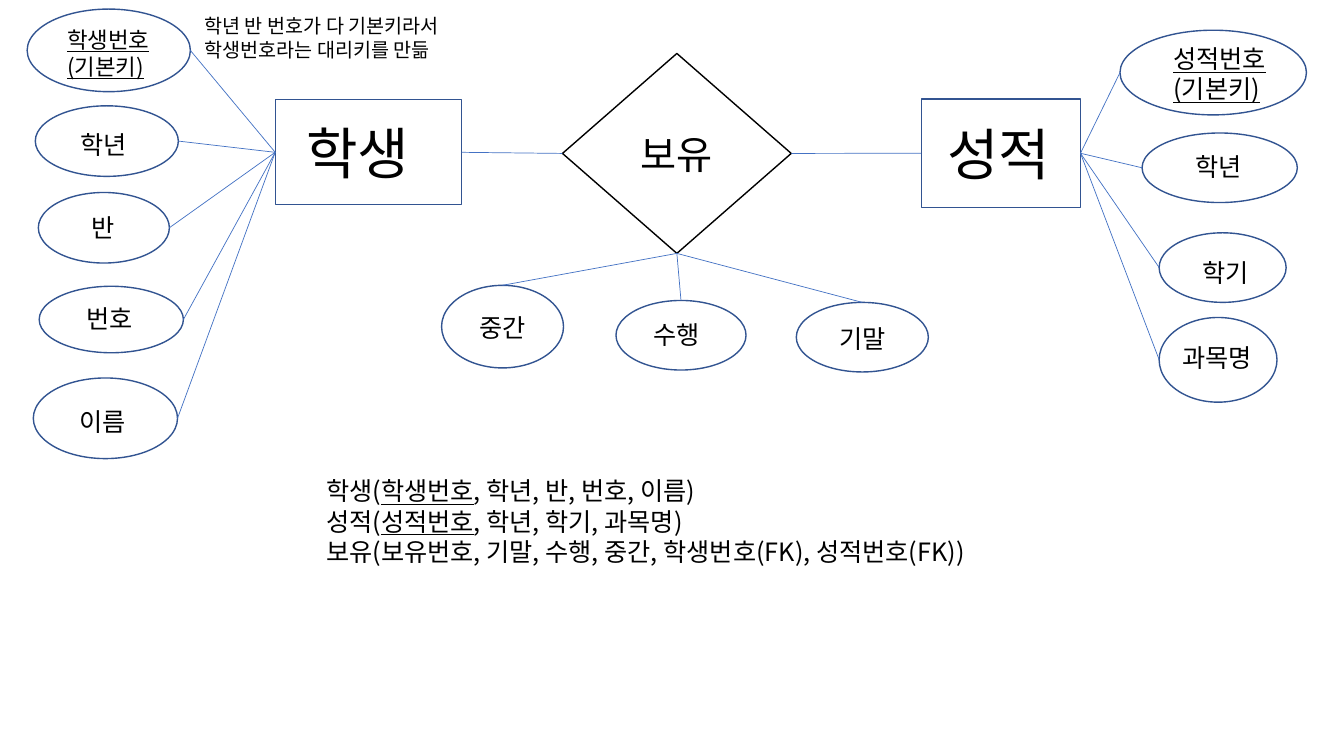
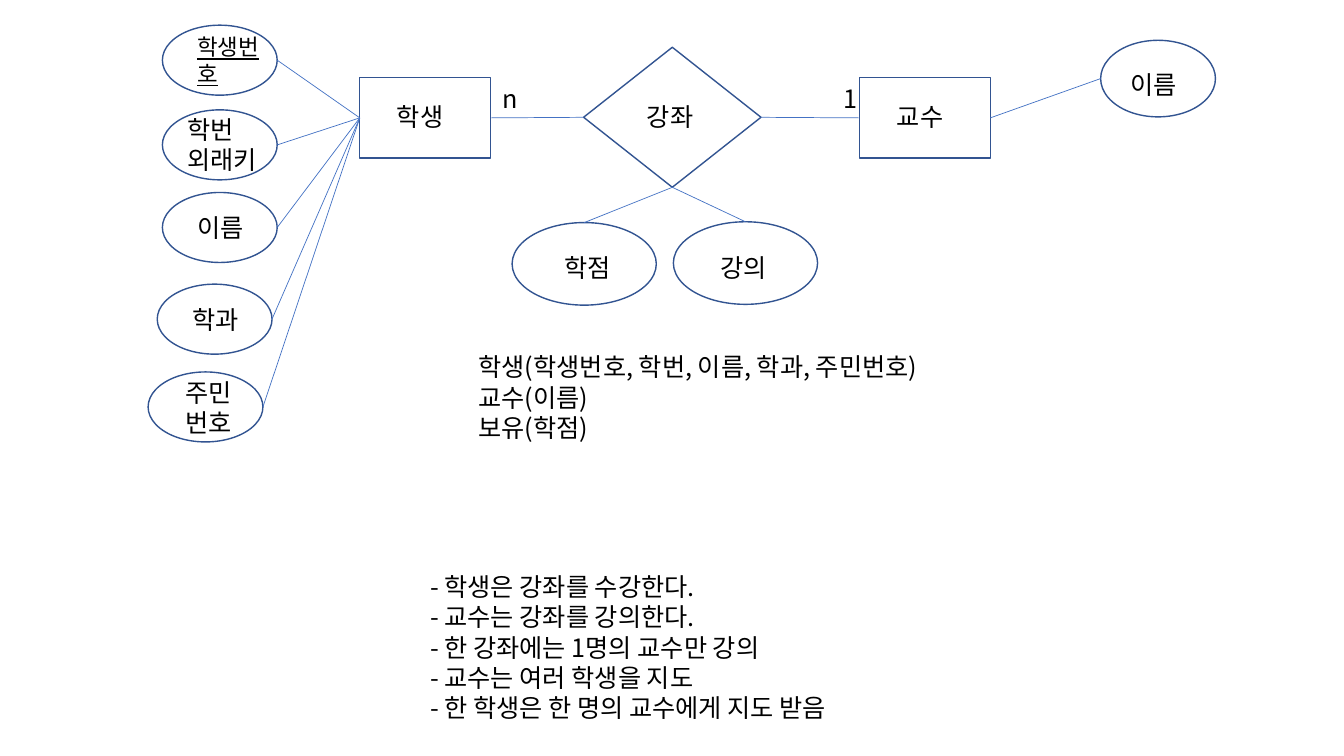
from lxml.etree import SubElement
from pptx import Presentation
from pptx.dml.color import RGBColor
from pptx.enum.shapes import MSO_CONNECTOR as CONNECTOR, MSO_SHAPE as SHAPE
from pptx.enum.text import MSO_AUTO_SIZE as AUTO_SIZE, PP_ALIGN as ALIGN
from pptx.oxml.ns import qn
from pptx.util import Pt

BLACK = RGBColor(0x00, 0x00, 0x00)
NAVY = RGBColor(0x32, 0x54, 0x91)
BLUE = RGBColor(0x44, 0x72, 0xC4)
FONT = "Noto Sans CJK KR"
TOP, LEFT, BOTTOM, RIGHT = range(4)
SITES = {TOP: (0.5, 0), LEFT: (0, 0.5), BOTTOM: (0.5, 1), RIGHT: (1, 0.5)}


def add_text(slide, text, left, top, width, size=18, align=ALIGN.LEFT):
    lines = text.split("\n")
    height = len(lines) * size * 1.2 + 7.2
    box = slide.shapes.add_textbox(Pt(left), Pt(top), Pt(width), Pt(height))
    frame = box.text_frame
    frame.word_wrap = True
    frame.auto_size = AUTO_SIZE.SHAPE_TO_FIT_TEXT
    for row, line in enumerate(lines):
        paragraph = frame.add_paragraph() if row else frame.paragraphs[0]
        paragraph.alignment = align
        for index, piece in enumerate(line.split("_")):
            if not piece:
                continue
            run = paragraph.add_run()
            run.text = piece
            run.font.name = FONT
            run.font.size = Pt(size)
            run.font.color.rgb = BLACK
            if index % 2:
                run.font.underline = True
            SubElement(run.font._element, qn("a:ea")).set("typeface", FONT)


def add_node(slide, kind, box, label, color=NAVY):
    shape = slide.shapes.add_shape(kind, *map(Pt, box))
    shape.shadow.inherit = False
    shape.fill.background()
    shape.line.color.rgb = color
    shape.line.width = Pt(1)
    add_text(slide, *label)
    return shape


DIAGRAMS = [
    {
        "nodes": [
            (SHAPE.RECTANGLE, (196.6, 71.3, 133.2, 75), ("학생", 211.7, 81.4, 112, 40), NAVY, LEFT, [
                ((19.4, 6.5, 116.6, 59), ("_학생번호_\n_(기본키)_", 41, 15, 95.8, 16)),
                ((25.2, 75.6, 102.2, 50.4), ("학년", 50.4, 88.6, 64)),
                ((27.4, 137.5, 93.6, 50.4), ("반", 58.3, 148.3, 59)),
                ((28, 204.5, 103, 47.5), ("번호", 54.7, 213, 65)),
                ((23.8, 270, 103, 57.6), ("이름", 49.7, 286.6, 65)),
            ]),
            (SHAPE.DIAMOND, (401.8, 38.2, 163.4, 142.8), ("보유", 443.5, 89.3, 80, 28, ALIGN.CENTER), BLACK, BOTTOM, [
                ((315.4, 203.8, 87.1, 59), ("중간", 335.5, 219.6, 55)),
                ((440, 214.6, 92.9, 49.7), ("수행", 459.4, 224.6, 70)),
                ((568.8, 216, 94.3, 49.7), ("기말", 592.6, 227.5, 60)),
            ]),
            (SHAPE.RECTANGLE, (658, 70.6, 113.8, 77.8), ("성적", 669.6, 82, 101, 40), NAVY, RIGHT, [
                ((800, 21.6, 133.2, 60.5), ("_성적번호(기본키)_", 831, 27.4, 108.7)),
                ((815.8, 95, 110.9, 49.7), ("학년", 846.7, 104.4, 70)),
                ((828, 166.3, 90.7, 49.7), ("학기", 851.8, 180, 57)),
                ((828, 226.8, 84.2, 60.5), ("과목명", 837.4, 241.2, 84.2)),
            ]),
        ],
        "notes": [
            ("학년 반 번호가 다 기본키라서 학생번호라는 대리키를 만듦", 139, 6.5, 208, 14),
            ("학생(_학생번호_, 학년, 반, 번호, 이름)\n"
             "성적(_성적번호_, 학년, 학기, 과목명)\n"
             "보유(보유번호, 기말, 수행, 중간, 학생번호(FK), 성적번호(FK))", 226, 336.2, 508.3),
        ],
    },
    {
        "nodes": [
            (SHAPE.RECTANGLE, (257, 55.4, 93.6, 57.6), ("학생", 276.5, 69, 61), NAVY, LEFT, [
                ((116, 18, 82, 50), ("_학생번호_", 134, 20.2, 62.6, 16)),
                ((116, 78.5, 82, 50), ("학번\n외래키", 126.7, 77.8, 77)),
                ((116, 137.5, 82, 50), ("이름", 134, 148.3, 62.6)),
                ((112.3, 203, 82, 50), ("학과", 130.3, 213.8, 62.6)),
                ((105.8, 265.7, 82, 50), ("주민번호", 125.3, 265.7, 62.6)),
            ]),
            (SHAPE.DIAMOND, (416.9, 33.8, 126.7, 100), ("강좌", 455, 69, 52.6), NAVY, BOTTOM, [
                ((365.8, 159, 103, 59), ("학점", 396, 176.4, 53.3)),
                ((481, 158.4, 103, 59), ("강의", 507.6, 176.4, 55.4)),
            ]),
            (SHAPE.RECTANGLE, (613.8, 55.4, 93.6, 57.6), ("교수", 633.6, 69, 61), NAVY, RIGHT, [
                ((786.2, 28.8, 82, 54.7), ("이름", 800.6, 46, 59)),
            ]),
        ],
        "notes": [
            ("n", 352, 56.2, 30),
            ("1", 595.4, 56.2, 30),
            ("학생(학생번호, 학번, 이름, 학과, 주민번호)\n교수(이름)\n보유(학점)", 334.8, 247.7, 369.4),
            ("- 학생은 강좌를 수강한다.\n"
             "- 교수는 강좌를 강의한다.\n"
             "- 한 강좌에는 1명의 교수만 강의\n"
             "- 교수는 여러 학생을 지도\n"
             "- 한 학생은 한 명의 교수에게 지도 받음", 300.2, 404.6, 360),
        ],
    },
]

presentation = Presentation()
presentation.slide_width = Pt(960)
presentation.slide_height = Pt(540)

for diagram in DIAGRAMS:
    slide = presentation.slides.add_slide(presentation.slide_layouts[6])
    hubs = []
    links = []
    for kind, box, label, color, side, attributes in diagram["nodes"]:
        hub = add_node(slide, kind, box, label, color)
        if hubs:
            links.append((hubs[-1], RIGHT, hub, LEFT))
        hubs.append(hub)
        for attribute_box, attribute_label in attributes:
            attribute = add_node(slide, SHAPE.OVAL, attribute_box, attribute_label)
            links.append((hub, side, attribute, (side + 2) % 4))

    for start, start_side, end, end_side in links:
        across, down = SITES[end_side]
        end_x = int(end.left + across * end.width)
        end_y = int(end.top + down * end.height)
        connector = slide.shapes.add_connector(CONNECTOR.STRAIGHT, 0, 0, end_x, end_y)
        connector.begin_connect(start, start_side)
        connector.line.color.rgb = BLUE
        connector.line.width = Pt(0.5)
        SubElement(connector._element.spPr, qn("a:effectLst"))

    for note in diagram["notes"]:
        add_text(slide, *note)

presentation.save("out.pptx")
